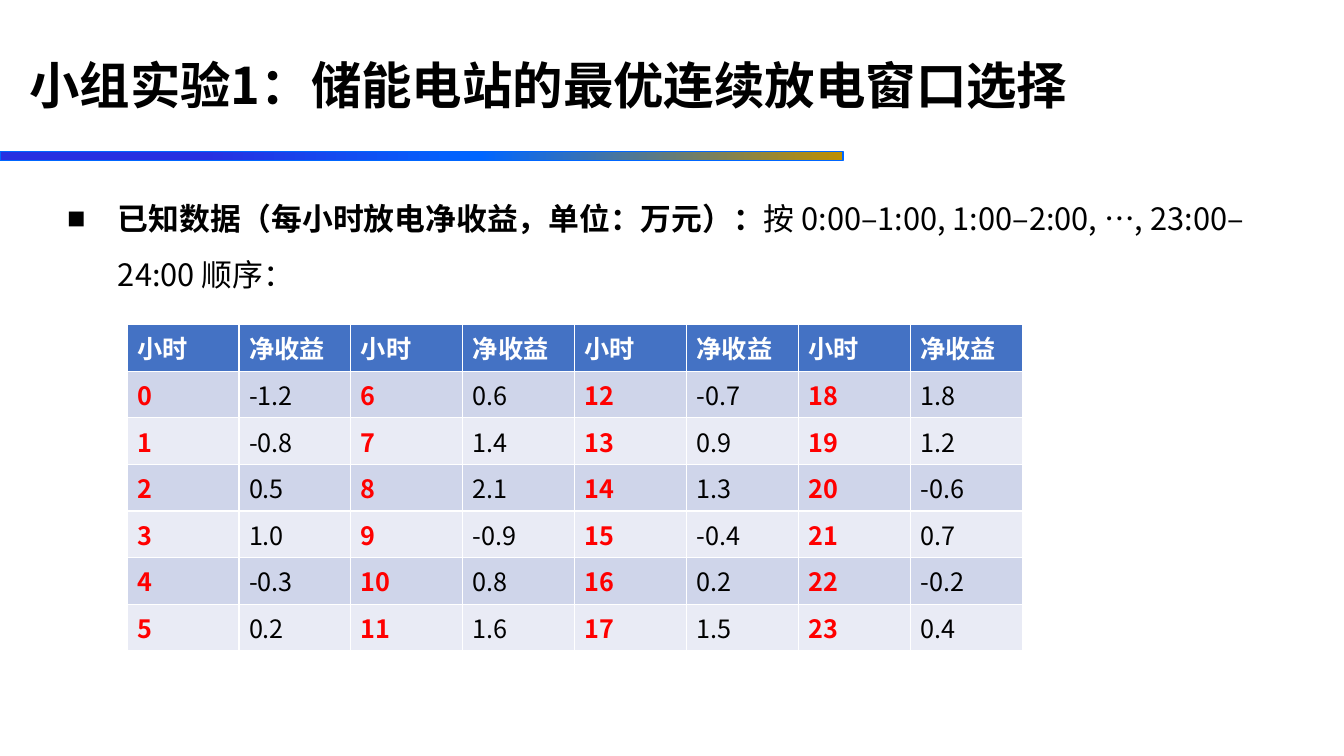
import pptx
import lxml.etree
import pptx.dml.color
import pptx.enum.shapes
import pptx.enum.text
import pptx.oxml
import pptx.oxml.ns
import pptx.util

TITLE = "小组实验1：储能电站的最优连续放电窗口选择"
LEAD = "已知数据（每小时放电净收益，单位：万元）："
REST = "按 0:00–1:00, 1:00–2:00, …, 23:00–24:00 顺序："
HEADS = ("小时", "净收益")
GAINS = (
    "-1.2", "-0.8", "0.5", "1.0", "-0.3", "0.2",
    "0.6", "1.4", "2.1", "-0.9", "0.8", "1.6",
    "-0.7", "0.9", "1.3", "-0.4", "0.2", "1.5",
    "1.8", "1.2", "-0.6", "0.7", "-0.2", "0.4",
)
STOPS = ((24, "2730E1"), (57, "0066FF"), (100, "BF9000"))
BANDS = ("CFD5EA", "E9EBF5")
FONT = "Noto Sans CJK SC"
BLACK, WHITE, RED, BLUE = "000000", "FFFFFF", "FF0000", "4472C4"
WIDE, HIGH = 13.33, 7.5
HOURS = 6                       # hours per column pair
PAIRS = len(GAINS) // HOURS
COL, ROW = 1.11, 0.41

inch, point = pptx.util.Inches, pptx.util.Pt
qn = pptx.oxml.ns.qn


def color(code):
    return pptx.dml.color.RGBColor.from_string(code)


def style(para, size, code, bold):
    font = para.font
    font.size, font.bold, font.name = point(size), bold, FONT
    font.color.rgb = color(code)
    base = para._p.pPr.find(qn("a:defRPr"))
    lxml.etree.SubElement(base, qn("a:ea"), typeface=FONT)


def place(shape, left, top, width, height):
    shape.left, shape.top = inch(left), inch(top)
    shape.width, shape.height = inch(width), inch(height)


def bullet(para, mark, share):
    props = para._p.get_or_add_pPr()
    props.set("marL", str(inch(0.5)))
    props.set("indent", str(-inch(0.5)))
    lxml.etree.SubElement(props, qn("a:buSzPct"), val=str(share * 1000))
    lxml.etree.SubElement(props, qn("a:buFont"), typeface=FONT)
    lxml.etree.SubElement(props, qn("a:buChar"), char=mark)


def add_bar(slide):
    bar = slide.shapes.add_shape(
        pptx.enum.shapes.MSO_SHAPE.FLOWCHART_PROCESS,
        0, inch(HIGH * 0.2), inch(8.36), inch(0.09))
    bar.shadow.inherit = False
    bar.line.color.rgb, bar.line.width = color("0066FF"), point(1)
    bar.fill.gradient()
    bar.fill.gradient_angle = 0
    stops = bar.element.spPr.find(".//" + qn("a:gsLst"))
    for old in list(stops):
        stops.remove(old)
    for share, code in STOPS:
        stop = lxml.etree.SubElement(stops, qn("a:gs"), pos=str(share * 1000))
        lxml.etree.SubElement(stop, qn("a:srgbClr"), val=code)
    slide.shapes.element.insert(2, bar.element)     # behind the text


def add_title(slide):
    title = slide.shapes.title
    place(title, 0.19, 0.15, 11.68, 1.45)
    frame = title.text_frame
    frame.text = TITLE
    frame.auto_size = pptx.enum.text.MSO_AUTO_SIZE.NONE
    frame.vertical_anchor = pptx.enum.text.MSO_ANCHOR.MIDDLE
    para = frame.paragraphs[0]
    para.alignment = pptx.enum.text.PP_ALIGN.LEFT
    para.line_spacing = 0.9
    style(para, 36, BLACK, True)


def add_body(slide):
    body = slide.placeholders[1]
    place(body, 0.57, 1.75, 11.89, 4.76)
    frame = body.text_frame
    frame.auto_size = pptx.enum.text.MSO_AUTO_SIZE.NONE
    para = frame.paragraphs[0]
    bullet(para, "■", 60)
    para.line_spacing, para.space_before = 1.5, point(10)
    style(para, 22, BLACK, False)
    for text, bold in ((LEAD, True), (REST, False)):
        run = para.add_run()
        run.text, run.font.bold = text, bold


def fill_cell(cell, text, back, code, bold):
    cell.text = text
    cell.vertical_anchor = pptx.enum.text.MSO_ANCHOR.MIDDLE
    cell.fill.solid()
    cell.fill.fore_color.rgb = color(back)
    style(cell.text_frame.paragraphs[0], 18, code, bold)


def add_gains(slide):
    cols, rows = 2 * PAIRS, HOURS + 1
    table = slide.shapes.add_table(
        rows, cols, inch(1.26), inch(3.22),
        inch(COL * cols), inch(ROW * rows)).table
    for row in table.rows:
        row.height = inch(ROW)
    for col in range(cols):
        table.columns[col].width = inch(COL)
        fill_cell(table.cell(0, col), HEADS[col % 2], BLUE, WHITE, True)
    for hour, gain in enumerate(GAINS):
        pair, row = divmod(hour, HOURS)
        back = BANDS[row % 2]
        fill_cell(table.cell(row + 1, 2 * pair), str(hour), back, RED, True)
        fill_cell(table.cell(row + 1, 2 * pair + 1), gain, back, BLACK, False)


def main():
    deck = pptx.Presentation()
    deck.slide_width, deck.slide_height = inch(WIDE), inch(HIGH)
    slide = deck.slides.add_slide(deck.slide_layouts[1])
    add_bar(slide)
    add_title(slide)
    add_body(slide)
    add_gains(slide)
    deck.save("out.pptx")


if __name__ == "__main__":
    main()
